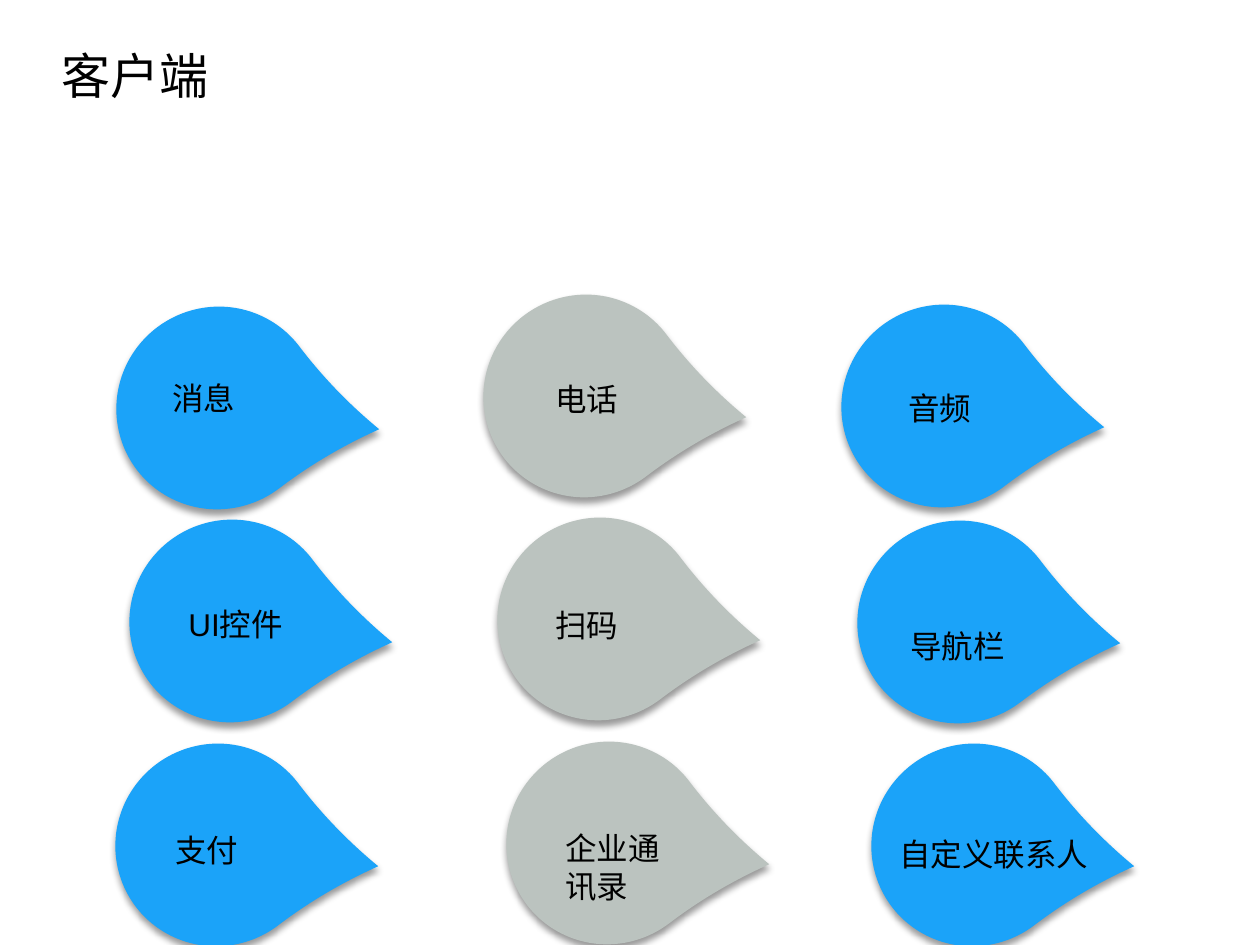
from dataclasses import dataclass

from lxml.etree import SubElement
from pptx import Presentation
from pptx.dml.color import RGBColor
from pptx.enum.shapes import MSO_SHAPE
from pptx.enum.text import MSO_ANCHOR, MSO_AUTO_SIZE, PP_ALIGN
from pptx.oxml.ns import qn
from pptx.util import Inches, Pt

PX = Inches(1) / 126
COLORS = {"blue": "1BA3F9", "gray": "BBC3BF", "black": "000000"}
COLUMN_COLORS = ["blue", "gray", "blue"]
DROP_WIDTH, DROP_HEIGHT = 202, 204
LINE_HEIGHT = 50
CJK_FONT, LATIN_FONT = "Noto Sans CJK SC", "Arial"


@dataclass
class Feature:
    name: str
    drop: tuple
    label: tuple
    height: int = LINE_HEIGHT
    font: str = LATIN_FONT
    wrap: bool = True


FEATURES = [
    Feature("消息", (117, 306), (160, 373, 98), font=CJK_FONT, wrap=False),
    Feature("电话", (484, 294), (543, 374, 89), font=CJK_FONT, wrap=False),
    Feature("音频", (842, 304), (896, 383, 89), font=CJK_FONT, wrap=False),
    Feature("UI控件", (130, 519), (176, 599, 131)),
    Feature("扫码", (498, 517), (543, 600, 129)),
    Feature("导航栏", (858, 520), (898, 621, 139)),
    Feature("支付", (116, 743), (163, 825, 131)),
    Feature("企业通讯录", (507, 741), (553, 823, 129), height=89),
    Feature("自定义联系人", (872, 743), (887, 829, 257)),
]


def px(*lengths):
    return [round(length * PX) for length in lengths]


def color(name):
    return RGBColor.from_string(COLORS[name])


def add_shadow(shape):
    shape.shadow.inherit = False
    effects = shape.element.spPr.find(qn("a:effectLst"))
    shadow = SubElement(effects, qn("a:outerShdw"), blurRad=str(Pt(4)),
                        dist=str(Pt(3)), dir="5400000", rotWithShape="0")
    black = SubElement(shadow, qn("a:srgbClr"), val=COLORS["black"])
    SubElement(black, qn("a:alpha"), val="40000")


def add_drop(page, left, top, fill):
    drop = page.shapes.add_shape(
        MSO_SHAPE.TEAR, *px(left, top, DROP_WIDTH, DROP_HEIGHT))
    drop.adjustments[0] = 1.133
    drop.rotation = 52.8
    drop.fill.solid()
    drop.fill.fore_color.rgb = color(fill)
    drop.line.fill.background()
    add_shadow(drop)


def write_text(box, text, size, font, wrap):
    frame = box.text_frame
    frame.word_wrap = wrap
    frame.auto_size = MSO_AUTO_SIZE.SHAPE_TO_FIT_TEXT
    frame.vertical_anchor = MSO_ANCHOR.TOP
    para = frame.paragraphs[0]
    para.text = text
    para.alignment = PP_ALIGN.LEFT
    para.font.size = Pt(size)
    para.font.name = font
    para.font.color.rgb = color("black")


def add_title(page, text):
    title = page.shapes.title
    title.left, title.top, title.width, title.height = px(49, 39, 174, 72)
    write_text(title, text, 28, CJK_FONT, False)


def add_feature(page, feature, fill):
    add_drop(page, *feature.drop, fill)
    label = page.shapes.add_textbox(*px(*feature.label, feature.height))
    write_text(label, feature.name, 18, feature.font, feature.wrap)


def main():
    deck = Presentation()
    deck.slide_width, deck.slide_height = px(1260, 945)
    page = deck.slides.add_slide(deck.slide_layouts[5])
    add_title(page, "客户端")
    for index, feature in enumerate(FEATURES):
        add_feature(page, feature, COLUMN_COLORS[index % 3])
    deck.save("out.pptx")


if __name__ == "__main__":
    main()
